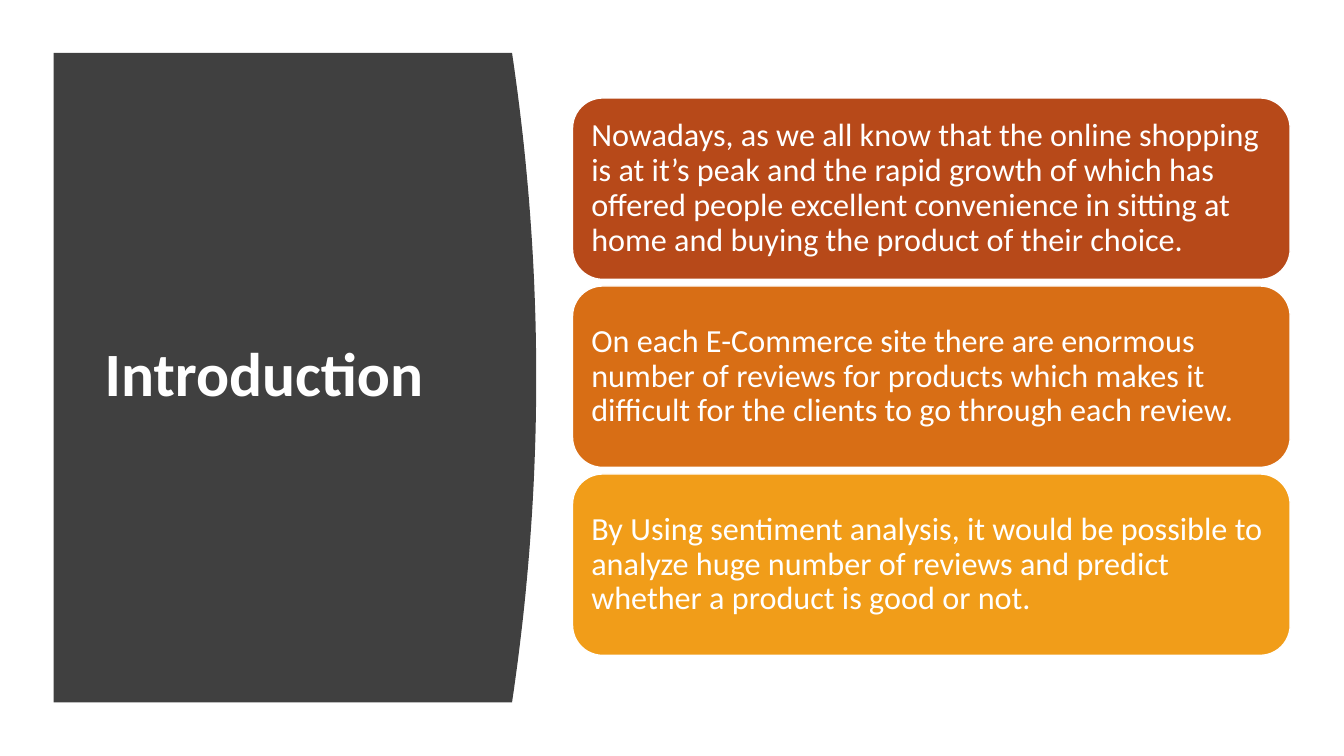
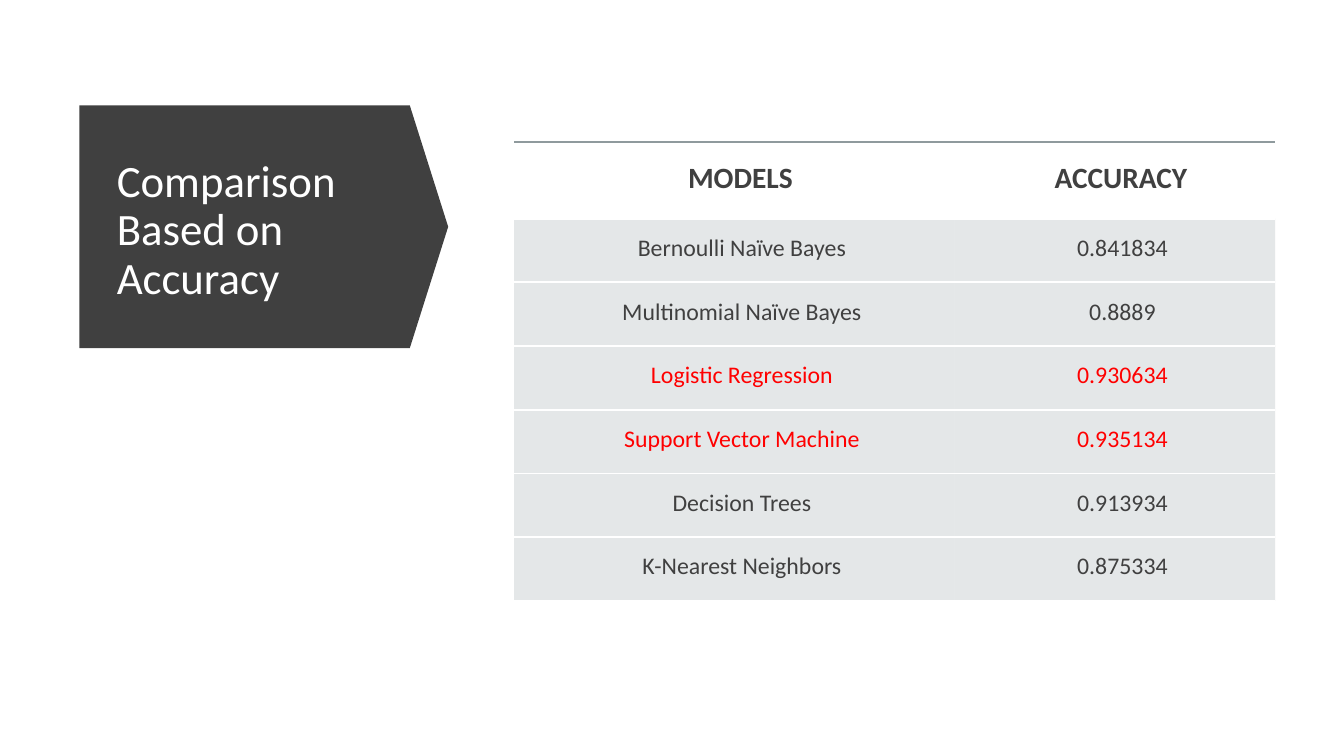
from dataclasses import dataclass
from typing import Any

from lxml import etree
from pptx import Presentation
from pptx.dml.color import RGBColor
from pptx.enum.shapes import MSO_SHAPE
from pptx.enum.text import MSO_ANCHOR, PP_ALIGN
from pptx.util import Inches, Pt

ROUND = MSO_SHAPE.ROUNDED_RECTANGLE
ARROW = MSO_SHAPE.PENTAGON
LEFT, CENTER = PP_ALIGN.LEFT, PP_ALIGN.CENTER
TOP, MIDDLE = MSO_ANCHOR.TOP, MSO_ANCHOR.MIDDLE
WIDE, HIGH = Inches(13.333), Inches(7.5)
NS = "http://schemas.openxmlformats.org/drawingml/2006/main"


@dataclass(frozen=True)
class Theme:
    font: str = "Calibri"
    dark: str = "404040"
    white: str = "FFFFFF"
    red: str = "FF0000"
    rule: str = "8F9A9D"
    row: str = "B4BCBE"
    line: float = 1.5
    large: int = 44
    head: int = 32
    body: int = 23
    label: int = 21
    cell: int = 17


@dataclass(frozen=True)
class Box:
    """Place and size in percent of the slide."""
    x: float
    y: float
    w: float
    h: float

    def frame(self) -> tuple[int, int, int, int]:
        return across(self.x), down(self.y), across(self.w), down(self.h)


@dataclass(frozen=True)
class Card:
    color: str
    text: str


@dataclass(frozen=True)
class Model:
    name: str
    score: str
    best: bool = False


THEME = Theme()

CARDS = (
    Card("B74919", "Nowadays, as we all know that the online shopping is at it’s peak "
         "and the rapid growth of which has offered people excellent convenience "
         "in sitting at home and buying the product of their choice."),
    Card("D86E15", "On each E-Commerce site there are enormous number of reviews for "
         "products which makes it difficult for the clients to go through each review."),
    Card("F19D19", "By Using sentiment analysis, it would be possible to analyze huge "
         "number of reviews and predict whether a product is good or not."),
)

MODELS = (
    Model("Bernoulli Naïve Bayes", "0.841834"),
    Model("Multinomial Naïve Bayes", "0.8889"),
    Model("Logistic Regression", "0.930634", True),
    Model("Support Vector Machine", "0.935134", True),
    Model("Decision Trees", "0.913934"),
    Model("K-Nearest Neighbors", "0.875334"),
)


def across(share: float) -> int:
    return round(WIDE * share / 100)


def down(share: float) -> int:
    return round(HIGH * share / 100)


def paint(shape: Any, color: str, edge: str = "") -> None:
    shape.shadow.inherit = False
    shape.fill.solid()
    shape.fill.fore_color.rgb = RGBColor.from_string(color)
    if edge:
        shape.line.color.rgb = RGBColor.from_string(edge)
        shape.line.width = Pt(1)
    else:
        shape.line.fill.background()


def write(frame: Any, text: str, size: int, color: str = THEME.white,
          bold: bool = False, align: Any = LEFT, space: float = 0.9) -> None:
    frame.word_wrap = True
    para = frame.paragraphs[0]
    para.alignment = align
    para.line_spacing = space
    run = para.add_run()
    run.text = text
    run.font.name = THEME.font
    run.font.size = Pt(size)
    run.font.bold = bold
    run.font.color.rgb = RGBColor.from_string(color)


def add_title(slide: Any, box: Box, text: str, size: int, bold: bool = False) -> None:
    frame = slide.shapes.add_textbox(*box.frame()).text_frame
    frame.vertical_anchor = MIDDLE
    write(frame, text, size, bold=bold)


def add_panel(slide: Any, box: Box, bulge: float, steps: int = 48) -> None:
    turns = [2 * i / steps - 1 for i in range(steps + 1)]
    curve = [(across(box.x + box.w + bulge * (1 - t * t)),
              down(box.y + box.h * (t + 1) / 2)) for t in turns]
    left, top, _, tall = box.frame()
    path = slide.shapes.build_freeform(left, top)
    path.add_line_segments(curve + [(left, top + tall)], close=True)
    paint(path.convert_to_shape(), THEME.dark)


def add_card(slide: Any, box: Box, card: Card) -> None:
    shape = slide.shapes.add_shape(ROUND, *box.frame())
    paint(shape, card.color, THEME.white)
    frame = shape.text_frame
    frame.vertical_anchor = MIDDLE
    frame.margin_left = frame.margin_right = Inches(0.1)
    frame.margin_top = frame.margin_bottom = Inches(0.1)
    write(frame, card.text, THEME.body)


def fade(node: Any, share: int) -> None:
    for color in node.iter(f"{{{NS}}}srgbClr"):
        etree.SubElement(color, f"{{{NS}}}alpha", val=str(share * 1000))


def edge(side: str, color: str = "", share: int = 100) -> Any:
    line = etree.Element(f"{{{NS}}}ln{side}", w=str(Pt(THEME.line)))
    if color:
        fill = etree.SubElement(line, f"{{{NS}}}solidFill")
        etree.SubElement(fill, f"{{{NS}}}srgbClr", val=color)
        fade(line, share)
    else:
        etree.SubElement(line, f"{{{NS}}}noFill")
    return line


def add_cell(cell: Any, text: str, color: str, head: bool) -> None:
    pad = Inches(0.18 if head else 0.15)
    cell.margin_left = Inches(0.3)
    cell.margin_right = cell.margin_top = cell.margin_bottom = pad
    cell.vertical_anchor = TOP
    size = THEME.label if head else THEME.cell
    write(cell.text_frame, text, size, color, head, CENTER, 1.0)
    props = cell._tc.get_or_add_tcPr()
    if head:
        cell.fill.background()
        top = edge("T", THEME.rule, 60)
    else:
        cell.fill.solid()
        cell.fill.fore_color.rgb = RGBColor.from_string(THEME.row)
        fade(props, 35)
        top = edge("T", THEME.white)
    for spot, line in enumerate((edge("L"), edge("R"), top, edge("B", THEME.white))):
        props.insert(spot, line)


def add_scores(slide: Any, x: float, y: float, cols: tuple[float, ...],
               head: float, step: float) -> None:
    rows = [("MODELS", "ACCURACY", THEME.dark)]
    rows += [(m.name, m.score, THEME.red if m.best else THEME.dark) for m in MODELS]
    box = Box(x, y, sum(cols), head + step * len(MODELS))
    table = slide.shapes.add_table(len(rows), len(cols), *box.frame()).table
    table.horz_banding = False
    for col, share in zip(table.columns, cols):
        col.width = across(share)
    for i, (*texts, color) in enumerate(rows):
        table.rows[i].height = down(step if i else head)
        for j, text in enumerate(texts):
            add_cell(table.cell(i, j), text, color, i == 0)


def draw_intro(slide: Any) -> None:
    add_panel(slide, Box(4, 7, 34.1, 85.9), 1.8)
    add_title(slide, Box(7.05, 14.8, 28.05, 69.9), "Introduction", THEME.large, True)
    tall, gap = 24, 0.87
    for i, card in enumerate(CARDS):
        add_card(slide, Box(42.6, 12.96 + i * (tall + gap), 53.4, tall), card)


def draw_scores(slide: Any) -> None:
    arrow = slide.shapes.add_shape(ARROW, *Box(5.9, 13.93, 27.45, 32.13).frame())
    arrow.adjustments[0] = 0.158
    paint(arrow, THEME.dark)
    add_title(slide, Box(7.95, 17.6, 21.9, 26), "Comparison Based on Accuracy", THEME.head)
    add_scores(slide, 38.25, 18.8, (32.78, 23.85), 10.13, 8.43)


def main() -> None:
    deck = Presentation()
    deck.slide_width, deck.slide_height = WIDE, HIGH
    for draw in (draw_intro, draw_scores):
        draw(deck.slides.add_slide(deck.slide_layouts[6]))
    deck.save("out.pptx")


if __name__ == "__main__":
    main()
